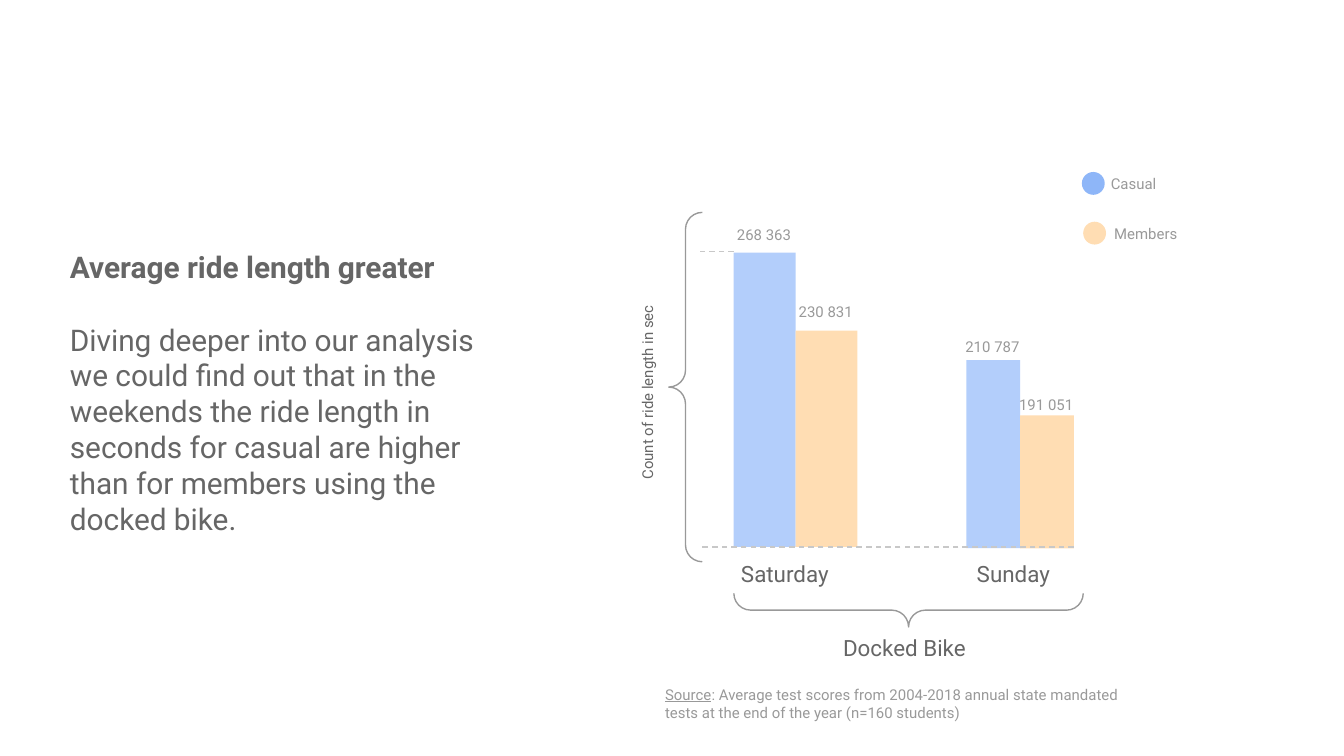
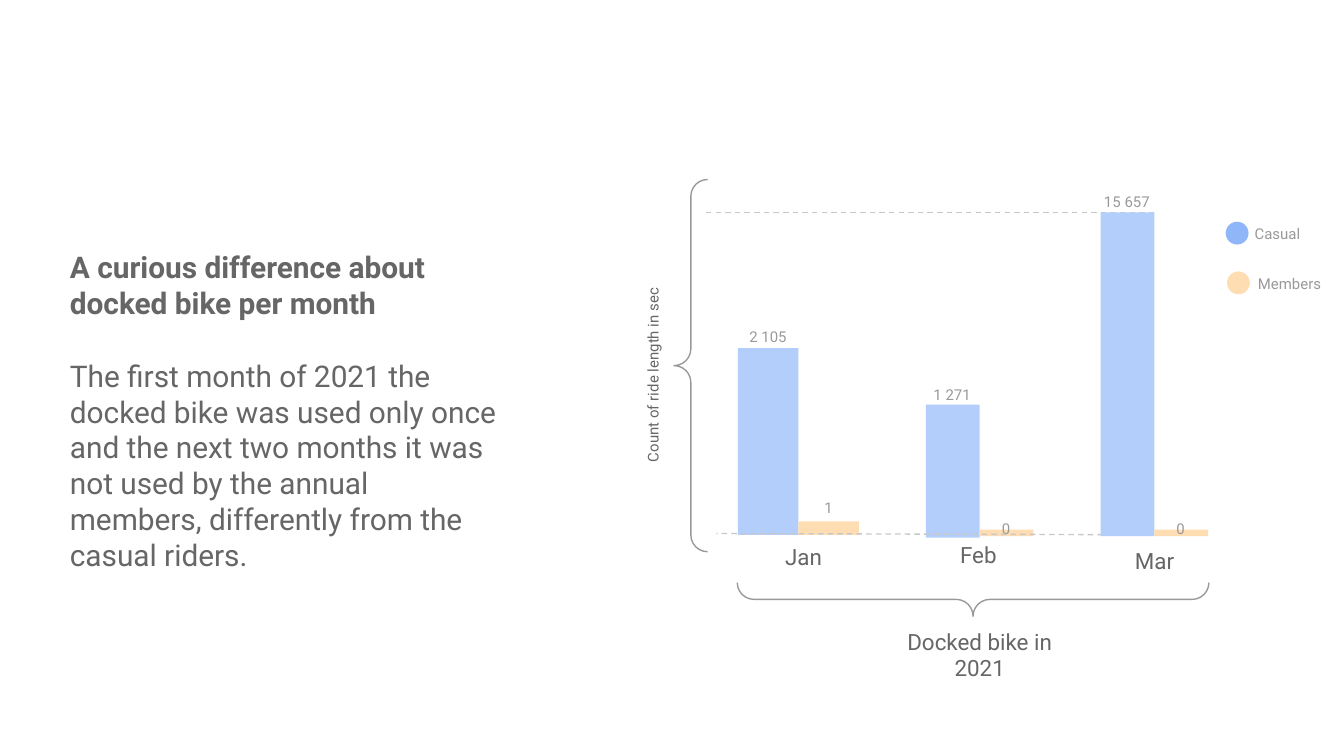
from dataclasses import dataclass

from lxml import etree
from pptx import Presentation
from pptx.dml.color import RGBColor
from pptx.enum.dml import MSO_LINE
from pptx.enum.shapes import MSO_CONNECTOR, MSO_SHAPE
from pptx.enum.text import MSO_ANCHOR, MSO_AUTO_SIZE, PP_ALIGN
from pptx.oxml.ns import qn
from pptx.slide import Slide
from pptx.text.text import TextFrame
from pptx.util import Emu, Pt

RECTANGLE, OVAL, BRACE = MSO_SHAPE.RECTANGLE, MSO_SHAPE.OVAL, MSO_SHAPE.RIGHT_BRACE
LEFT, CENTER = PP_ALIGN.LEFT, PP_ALIGN.CENTER
STRAIGHT, DASH = MSO_CONNECTOR.STRAIGHT, MSO_LINE.DASH
TOP, NO_AUTOFIT = MSO_ANCHOR.TOP, MSO_AUTO_SIZE.NONE

FONT = "Roboto"
DARK, GRAY, GUIDE = "666666", "999999", "C8C8C8"
CASUAL, MEMBERS, CASUAL_DOT = "B3CEFB", "FFDDB3", "8EB6F8"

# 100 px to the inch
EMU_PER_PX = 9144
INSET = 10
TEXT_LEFT, TEXT_TOP, TEXT_WIDTH = 42, 175, 345
HEADING_LINE, BODY_HEIGHT = 27, 180
LABEL_WIDTH, LABEL_HEIGHT = 77, 34
CAPTION_WIDTH = 154
BRACE_DEPTH = 25
DOT, LEGEND_STEP = 17, 37


@dataclass
class Bar:
    top: int
    height: int
    label: str
    label_top: int


@dataclass
class Group:
    """A casual and a members bar side by side, over a category name."""
    name: str
    name_center: int
    name_top: int
    left: int
    casual_width: int
    members_width: int
    casual: Bar
    members: Bar
    above_guides: bool = False


@dataclass
class Brace:
    center_x: int
    center_y: int
    length: int
    rotation: int


@dataclass
class Guide:
    right: int
    right_y: int
    left: int
    left_y: int


@dataclass
class Page:
    heading: str
    heading_lines: int
    body: str
    groups: list[Group]
    braces: list[Brace]
    guides: list[Guide]
    axis_left: int
    axis_top: int
    legend_left: int
    legend_top: int
    caption: str
    caption_center: int
    caption_top: int
    caption_height: int
    source: str = ""


PAGES = [
    Page(
        heading="Average ride length greater", heading_lines=1,
        body="Diving deeper into our analysis we could find out that in the weekends "
             "the ride length in seconds for casual are higher than for members using "
             "the docked bike.",
        groups=[
            Group("Saturday", 584, 407, 546, 46, 46,
                  Bar(188, 219, "268 363", 158), Bar(246, 161, "230 831", 215)),
            Group("Sunday", 754, 407, 719, 40, 40,
                  Bar(268, 140, "210 787", 241), Bar(309, 99, "191 051", 284)),
        ],
        braces=[Brace(676, 454, 260, 90), Brace(510, 288, 260, 180)],
        guides=[Guide(546, 187, 521, 187), Guide(799, 407, 521, 407)],
        axis_left=470, axis_top=187, legend_left=805, legend_top=128,
        caption="Docked Bike", caption_center=673, caption_top=462, caption_height=40,
        source=": Average test scores from 2004-2018 annual state mandated tests "
               "at the end of the year (n=160 students)",
    ),
    Page(
        heading="A curious difference about docked bike per month", heading_lines=2,
        body="The first month of 2021 the docked bike was used only once and the next "
             "two months it was not used by the annual members, differently from the "
             "casual riders.",
        groups=[
            Group("Jan", 598, 394, 549, 45, 45,
                  Bar(259, 139, "2 105", 234), Bar(388, 10, "1", 361)),
            Group("Feb", 728, 393, 689, 40, 40,
                  Bar(301, 99, "1 271", 277), Bar(394, 5, "0", 377)),
            Group("Mar", 859, 397, 819, 40, 40,
                  Bar(158, 241, "15 657", 133), Bar(394, 5, "0", 377),
                  above_guides=True),
        ],
        braces=[Brace(724, 446, 351, 90), Brace(514, 272, 277, 180)],
        guides=[Guide(859, 158, 523, 158), Guide(885, 398, 533, 397)],
        axis_left=474, axis_top=174, legend_left=912, legend_top=165,
        caption="Docked bike in 2021", caption_center=729, caption_top=457,
        caption_height=61,
    ),
]


def px(value: float) -> Emu:
    return Emu(int(value * EMU_PER_PX))


def color(code: str) -> RGBColor:
    return RGBColor.from_string(code)


def set_text(frame: TextFrame, text: str, size: int, shade: str,
             align: PP_ALIGN = CENTER, bold: bool = False) -> None:
    frame.word_wrap = True
    frame.auto_size = NO_AUTOFIT
    frame.vertical_anchor = TOP
    frame.margin_left = frame.margin_right = px(INSET)
    frame.margin_top = frame.margin_bottom = px(INSET)
    para = frame.paragraphs[0]
    para.text = text
    para.alignment = align
    para.space_before = Pt(0)
    font = para.font
    font.name, font.size, font.bold = FONT, Pt(size), bold
    font.color.rgb = color(shade)


def add_label(slide: Slide, text: str, left: int, top: int, width: int = LABEL_WIDTH,
              height: int = LABEL_HEIGHT, size: int = 8, shade: str = GRAY,
              align: PP_ALIGN = CENTER) -> TextFrame:
    box = slide.shapes.add_textbox(px(left), px(top), px(width), px(height))
    set_text(box.text_frame, text, size, shade, align)
    return box.text_frame


def add_filled(slide: Slide, kind: MSO_SHAPE, left: int, top: int, width: int,
               height: int, shade: str) -> None:
    shape = slide.shapes.add_shape(kind, px(left), px(top), px(width), px(height))
    shape.shadow.inherit = False
    shape.fill.solid()
    shape.fill.fore_color.rgb = color(shade)
    shape.line.fill.background()


def add_brace(slide: Slide, brace: Brace) -> None:
    shape = slide.shapes.add_shape(
        BRACE, px(brace.center_x - BRACE_DEPTH / 2), px(brace.center_y - brace.length / 2),
        px(BRACE_DEPTH), px(brace.length))
    shape.rotation = brace.rotation
    shape.adjustments[0] = shape.adjustments[1] = 0.5
    shape.shadow.inherit = False
    shape.fill.background()
    shape.line.color.rgb = color(GRAY)
    shape.line.width = Pt(0.75)


def add_guide(slide: Slide, guide: Guide) -> None:
    line = slide.shapes.add_connector(STRAIGHT, px(guide.right), px(guide.right_y),
                                      px(guide.left), px(guide.left_y))
    line.line.color.rgb = color(GUIDE)
    line.line.width = Pt(0.75)
    line.line.dash_style = DASH
    etree.SubElement(line._element.spPr, qn("a:effectLst"))


def add_group(slide: Slide, group: Group) -> None:
    columns = [
        (group.casual, group.left, group.casual_width, CASUAL),
        (group.members, group.left + group.casual_width, group.members_width, MEMBERS),
    ]
    for bar, left, width, shade in columns:
        add_filled(slide, RECTANGLE, left, bar.top, width, bar.height, shade)
    for bar, left, width, _ in columns:
        add_label(slide, bar.label, left + (width - LABEL_WIDTH) // 2, bar.label_top)
    add_label(slide, group.name, group.name_center - CAPTION_WIDTH // 2, group.name_top,
              CAPTION_WIDTH, 40, 12, DARK)


def add_legend(slide: Slide, left: int, top: int) -> None:
    add_filled(slide, OVAL, left, top, DOT, DOT, CASUAL_DOT)
    add_filled(slide, OVAL, left + 1, top + LEGEND_STEP, DOT, DOT, MEMBERS)
    add_label(slide, "Casual", left, top - 8)
    add_label(slide, "Members", left + 9, top - 8 + LEGEND_STEP)


def add_story(slide: Slide, page: Page) -> None:
    """Bold heading, one free line, then the running text."""
    title, body = slide.placeholders
    heading_height = page.heading_lines * HEADING_LINE
    places = [
        (title, page.heading, TEXT_TOP, heading_height + 2 * INSET, True),
        (body, page.body, TEXT_TOP + heading_height + HEADING_LINE, BODY_HEIGHT, False),
    ]
    for holder, text, top, height, bold in places:
        holder.left, holder.top = px(TEXT_LEFT), px(top)
        holder.width, holder.height = px(TEXT_WIDTH), px(height)
        set_text(holder.text_frame, text, 16, DARK, LEFT, bold)
    # The running text has no bullet or indent
    properties = body.text_frame.paragraphs[0]._p.get_or_add_pPr()
    properties.set("marL", "0")
    properties.set("indent", "0")
    etree.SubElement(properties, qn("a:buNone"))
    # Schema order puts the bullet before the default run properties
    properties.append(properties.find(qn("a:defRPr")))


def add_source(slide: Slide, text: str) -> None:
    frame = add_label(slide, "Source", 485, 500, 374, 47, align=LEFT)
    para = frame.paragraphs[0]
    para.runs[0].font.underline = True
    span = para.add_run()
    span.text = text


def build_page(slide: Slide, page: Page) -> None:
    add_story(slide, page)
    # Bars, with the guides between the lower and upper groups
    for group in page.groups:
        if not group.above_guides:
            add_group(slide, group)
    for guide in page.guides:
        add_guide(slide, guide)
    for group in page.groups:
        if group.above_guides:
            add_group(slide, group)
    # Braces, axis title, caption and legend
    for brace in page.braces:
        add_brace(slide, brace)
    axis = add_label(slide, "Count of ride length in sec", page.axis_left, page.axis_top,
                     34, 210, shade=DARK)
    axis._txBody.bodyPr.set("vert", "vert270")
    add_label(slide, page.caption, page.caption_center - CAPTION_WIDTH // 2,
              page.caption_top, CAPTION_WIDTH, page.caption_height, 12, DARK)
    add_legend(slide, page.legend_left, page.legend_top)
    if page.source:
        add_source(slide, page.source)


def main() -> None:
    deck = Presentation()
    deck.slide_width, deck.slide_height = px(1000), px(562.5)
    for page in PAGES:
        build_page(deck.slides.add_slide(deck.slide_layouts[1]), page)
    deck.save("out.pptx")


if __name__ == "__main__":
    main()
